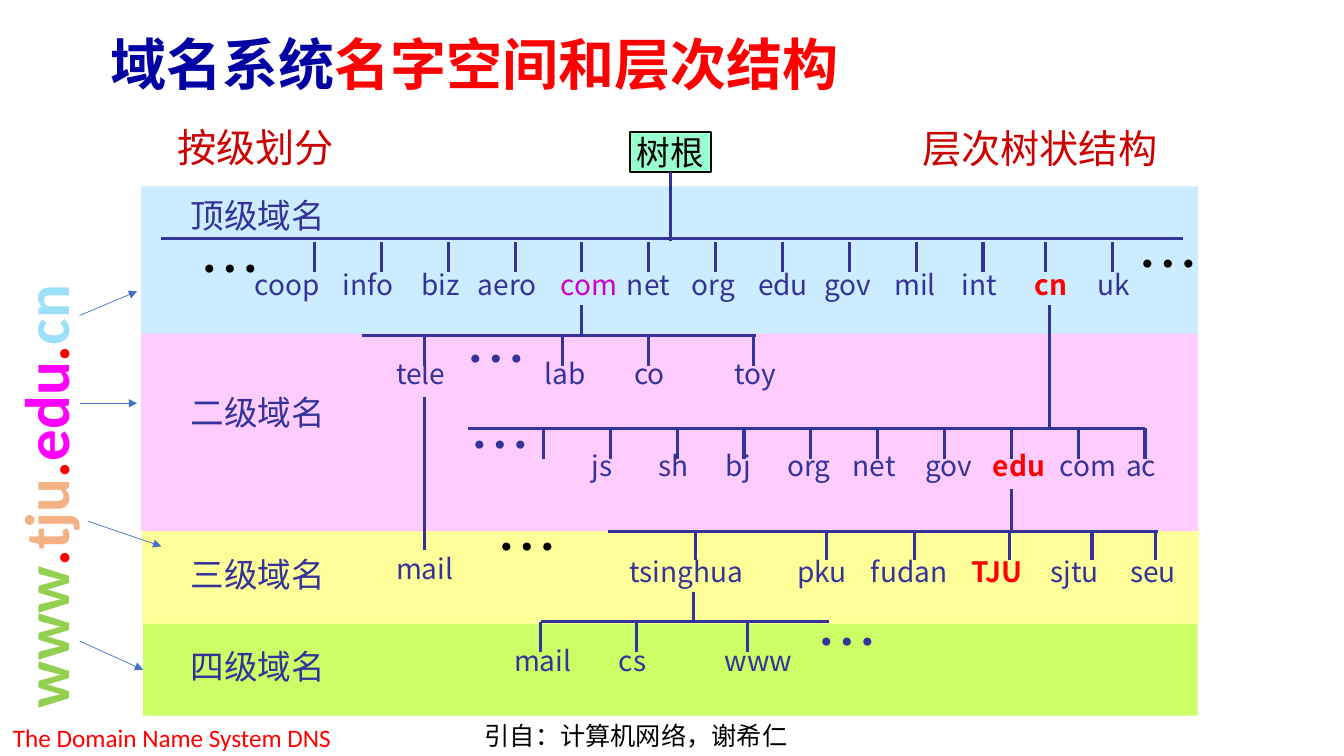
from dataclasses import dataclass

from lxml.etree import SubElement
from pptx import Presentation
from pptx.dml.color import RGBColor
from pptx.enum.shapes import MSO_CONNECTOR as Connector, MSO_SHAPE as Preset
from pptx.enum.text import MSO_ANCHOR as Anchor, MSO_AUTO_SIZE as AutoSize, PP_ALIGN as Align
from pptx.oxml.ns import qn
from pptx.shapes.autoshape import Shape
from pptx.shapes.connector import Connector as ConnectorShape
from pptx.slide import Slide
from pptx.text.text import TextFrame
from pptx.util import Inches, Pt

BLACK = RGBColor(0x00, 0x00, 0x00)
RED = RGBColor(0xFF, 0x00, 0x00)
DARK_RED = RGBColor(0xCC, 0x00, 0x00)
NAVY = RGBColor(0x00, 0x00, 0xA3)
INDIGO = RGBColor(0x33, 0x33, 0x99)
PURPLE = RGBColor(0xCC, 0x00, 0xCC)
MAGENTA = RGBColor(0xFF, 0x00, 0xFF)
GREEN = RGBColor(0x92, 0xD0, 0x50)
ORANGE = RGBColor(0xF4, 0xB1, 0x83)
SKY = RGBColor(0x9C, 0xDF, 0xF9)
ARROW_BLUE = RGBColor(0x44, 0x72, 0xC4)
MINT = RGBColor(0x99, 0xFF, 0xCC)
BAND_BLUE = RGBColor(0xCC, 0xEC, 0xFF)
BAND_PINK = RGBColor(0xFF, 0xCC, 0xFF)
BAND_YELLOW = RGBColor(0xFF, 0xFF, 0x99)
BAND_GREEN = RGBColor(0xCC, 0xFF, 0x66)

CJK = "Noto Sans CJK SC"
LATIN = "Calibri"
TICK_STEP = 0.663
TICK_LENGTH = 0.3

Point = tuple[float, float]
ColouredRuns = list[tuple[str, RGBColor]]


@dataclass
class Band:
    left: float
    top: float
    width: float
    height: float
    fill: RGBColor
    caption: str
    caption_top: float


@dataclass
class Branch:
    """A horizontal bar with ticks hanging down from it."""
    left: float
    right: float
    top: float
    ticks: list[float]
    tick_top: float


@dataclass
class Label:
    text: str
    left: float
    top: float
    width: float
    height: float = 0.45
    size: float = 20
    colour: RGBColor = INDIGO
    bold: bool = False
    font: str = CJK


def name_row(top: float, *names: tuple[str, float, float]) -> list[Label]:
    return [Label(text, left, top, width) for text, left, width in names]


def ellipsis(left: float, top: float, colour: RGBColor = INDIGO) -> Label:
    return Label("…", left, top, 0.73, 0.87, 44, colour)


BANDS = [
    Band(1.41, 5.24, 10.48, 0.95, BAND_YELLOW, "三级域名", 5.45),
    Band(1.42, 6.19, 10.46, 0.91, BAND_GREEN, "四级域名", 6.36),
    Band(1.4, 3.24, 10.48, 2.03, BAND_PINK, "二级域名", 3.84),
    Band(1.4, 1.85, 10.48, 1.46, BAND_BLUE, "顶级域名", 1.88),
]

BRANCHES = [
    Branch(1.6, 11.73, 2.37, [3.12 + TICK_STEP * i for i in range(11)] + [10.37, 11.03], 2.4),
    Branch(3.59, 7.5, 3.33, [4.21, 5.58, 6.43, 7.47], 3.33),
    Branch(4.64, 11.36, 4.25, [5.39 + TICK_STEP * i for i in range(10)], 4.25),
    Branch(6.03, 11.49, 5.27, [6.9, 8.2, 9.07, 10.01, 10.83, 11.46], 5.26),
    Branch(5.37, 8.22, 6.17, [5.36, 6.31, 7.41], 6.17),
]

STEMS = [
    ((5.77, 3.03), (5.77, 3.33)),
    ((10.41, 3.03), (10.41, 4.24)),
    ((4.21, 3.94), (4.21, 5.46)),
    ((10.03, 4.85), (10.03, 5.26)),
    ((6.88, 5.87), (6.88, 6.17)),
]

LABELS = [
    *name_row(2.6, ("coop", 2.43, 0.91), ("info", 3.3, 0.75), ("biz", 4.08, 0.62),
              ("aero", 4.64, 0.83), ("net", 6.12, 0.66), ("org", 6.76, 0.69),
              ("edu", 7.42, 0.74), ("gov", 8.08, 0.74), ("mil", 8.77, 0.64),
              ("int", 9.44, 0.58), ("uk", 10.79, 0.55)),
    Label("com", 5.46, 2.6, 0.82, colour=PURPLE),
    Label("cn", 10.16, 2.6, 0.54, colour=RED, bold=True),
    *name_row(3.49, ("tele", 3.83, 0.77), ("lab", 5.3, 0.75), ("co", 6.19, 0.58),
              ("toy", 7.19, 0.78)),
    *name_row(4.4, ("js", 5.77, 0.42), ("sh", 6.43, 0.52), ("bj", 7.1, 0.47),
              ("org", 7.71, 0.69), ("net", 8.36, 0.66), ("gov", 9.08, 0.74),
              ("com", 10.41, 0.82), ("ac", 11.07, 0.52)),
    Label("edu", 9.75, 4.4, 0.74, colour=RED, bold=True),
    *name_row(5.45, ("tsinghua", 6.14, 1.42), ("pku", 7.81, 0.73), ("fudan", 8.54, 1.02),
              ("sjtu", 10.32, 0.71), ("seu", 11.11, 0.69)),
    Label("TJU", 9.54, 5.45, 0.9, colour=RED, bold=True),
    Label("mail", 3.83, 5.42, 0.8),
    *name_row(6.33, ("mail", 5, 0.8), ("cs", 6.04, 0.49), ("www", 7.09, 0.9)),
    ellipsis(1.88, 2.24, BLACK),
    ellipsis(11.18, 2.19, BLACK),
    ellipsis(4.52, 3.13),
    ellipsis(4.56, 3.99),
    ellipsis(4.83, 5, BLACK),
    ellipsis(8, 5.94),
    Label("按级划分", 1.66, 1.17, 1.84, 0.59, 28, DARK_RED),
    Label("层次树状结构", 9.05, 1.18, 2.66, 0.59, 28, DARK_RED),
    Label("引自：计算机网络，谢希仁", 4.71, 7.1, 4.5, 0.4, 18, BLACK, font=LATIN),
    Label("The Domain Name System DNS", 0.03, 7.12, 6.73, 0.4, 18, RED, font=LATIN),
]

ARROWS = [((0.87, 5.17), (1.6, 5.42)), ((0.79, 4), (1.36, 4)), ((0.79, 3.13), (1.36, 2.89))]


def add_line(slide: Slide, start: Point, end: Point, colour: RGBColor = INDIGO,
             width: float = 2.25, arrow: bool = False) -> ConnectorShape:
    connector = slide.shapes.add_connector(
        Connector.STRAIGHT, *(Inches(value) for value in (*start, *end)))
    connector.line.color.rgb = colour
    connector.line.width = Pt(width)
    properties = connector.element.spPr
    if arrow:
        SubElement(properties.find(qn("a:ln")), qn("a:tailEnd"), type="triangle")
    SubElement(properties, qn("a:effectLst"))
    return connector


def add_arrow(slide: Slide, start: Point, end: Point) -> ConnectorShape:
    return add_line(slide, start, end, ARROW_BLUE, 0.5, arrow=True)


def add_rectangle(slide: Slide, left: float, top: float, width: float, height: float,
                  fill: RGBColor) -> Shape:
    shape = slide.shapes.add_shape(
        Preset.RECTANGLE, Inches(left), Inches(top), Inches(width), Inches(height))
    shape.shadow.inherit = False
    shape.fill.solid()
    shape.fill.fore_color.rgb = fill
    shape.line.fill.background()
    return shape


def add_label(slide: Slide, label: Label) -> Shape:
    box = slide.shapes.add_textbox(
        Inches(label.left), Inches(label.top), Inches(label.width), Inches(label.height))
    frame = box.text_frame
    frame.word_wrap = True
    frame.auto_size = AutoSize.SHAPE_TO_FIT_TEXT
    paragraph = frame.paragraphs[0]
    paragraph.text = label.text
    paragraph.font.name = label.font
    paragraph.font.size = Pt(label.size)
    paragraph.font.bold = label.bold
    paragraph.font.color.rgb = label.colour
    return box


def write_runs(frame: TextFrame, runs: ColouredRuns, size: float) -> None:
    """Write one bold paragraph whose runs differ in colour only."""
    paragraph = frame.paragraphs[0]
    paragraph.alignment = Align.LEFT
    paragraph.font.name = LATIN
    paragraph.font.size = Pt(size)
    paragraph.font.bold = True
    for text, colour in runs:
        run = paragraph.add_run()
        run.text = text
        run.font.color.rgb = colour


def add_title(slide: Slide) -> None:
    title = slide.shapes.title
    title.left, title.top, title.width, title.height = map(Inches, (1, 0.18, 11.5, 0.98))
    title.text_frame.vertical_anchor = Anchor.MIDDLE
    write_runs(title.text_frame, [("域名系统", NAVY), ("名字空间和层次结构", RED)], 40)
    title.text_frame.paragraphs[0].line_spacing = 0.9


def add_root(slide: Slide) -> None:
    root = add_rectangle(slide, 6.25, 1.31, 0.8, 0.4, MINT)
    root.line.color.rgb = BLACK
    root.line.width = Pt(1.5)
    frame = root.text_frame
    frame.word_wrap = False
    frame.vertical_anchor = Anchor.MIDDLE
    paragraph = frame.paragraphs[0]
    paragraph.text = "树根"
    paragraph.alignment = Align.CENTER
    paragraph.font.name = CJK
    paragraph.font.size = Pt(24)
    paragraph.font.color.rgb = BLACK
    add_line(slide, (6.65, 1.71), (6.65, 2.39)).begin_connect(root, 2)


def add_host_name(slide: Slide) -> None:
    box = slide.shapes.add_textbox(Inches(-2.11), Inches(4.14), Inches(5.11), Inches(0.86))
    box.rotation = 270
    box.text_frame.word_wrap = True
    dot = (".", RED)
    write_runs(box.text_frame, [("www", GREEN), dot, ("tju", ORANGE), dot,
                                ("edu", MAGENTA), dot, ("cn", SKY)], 45)


def main() -> None:
    presentation = Presentation()
    presentation.slide_width, presentation.slide_height = Inches(13.33), Inches(7.5)
    slide = presentation.slides.add_slide(presentation.slide_layouts[5])
    add_title(slide)
    band_shapes = {band.caption: add_rectangle(slide, band.left, band.top, band.width,
                                               band.height, band.fill) for band in BANDS}
    for band in BANDS:
        add_label(slide, Label(band.caption, 1.79, band.caption_top, 1.61, 0.52, 24))
    for branch in BRANCHES:
        add_line(slide, (branch.left, branch.top), (branch.right, branch.top))
        for x in branch.ticks:
            add_line(slide, (x, branch.tick_top), (x, branch.tick_top + TICK_LENGTH))
    for start, end in STEMS:
        add_line(slide, start, end)
    add_root(slide)
    for label in LABELS:
        add_label(slide, label)
    add_host_name(slide)
    add_arrow(slide, (0.79, 6.36), (1.42, 6.64)).end_connect(band_shapes["四级域名"], 1)
    for start, end in ARROWS:
        add_arrow(slide, start, end)
    presentation.save("out.pptx")


if __name__ == "__main__":
    main()
